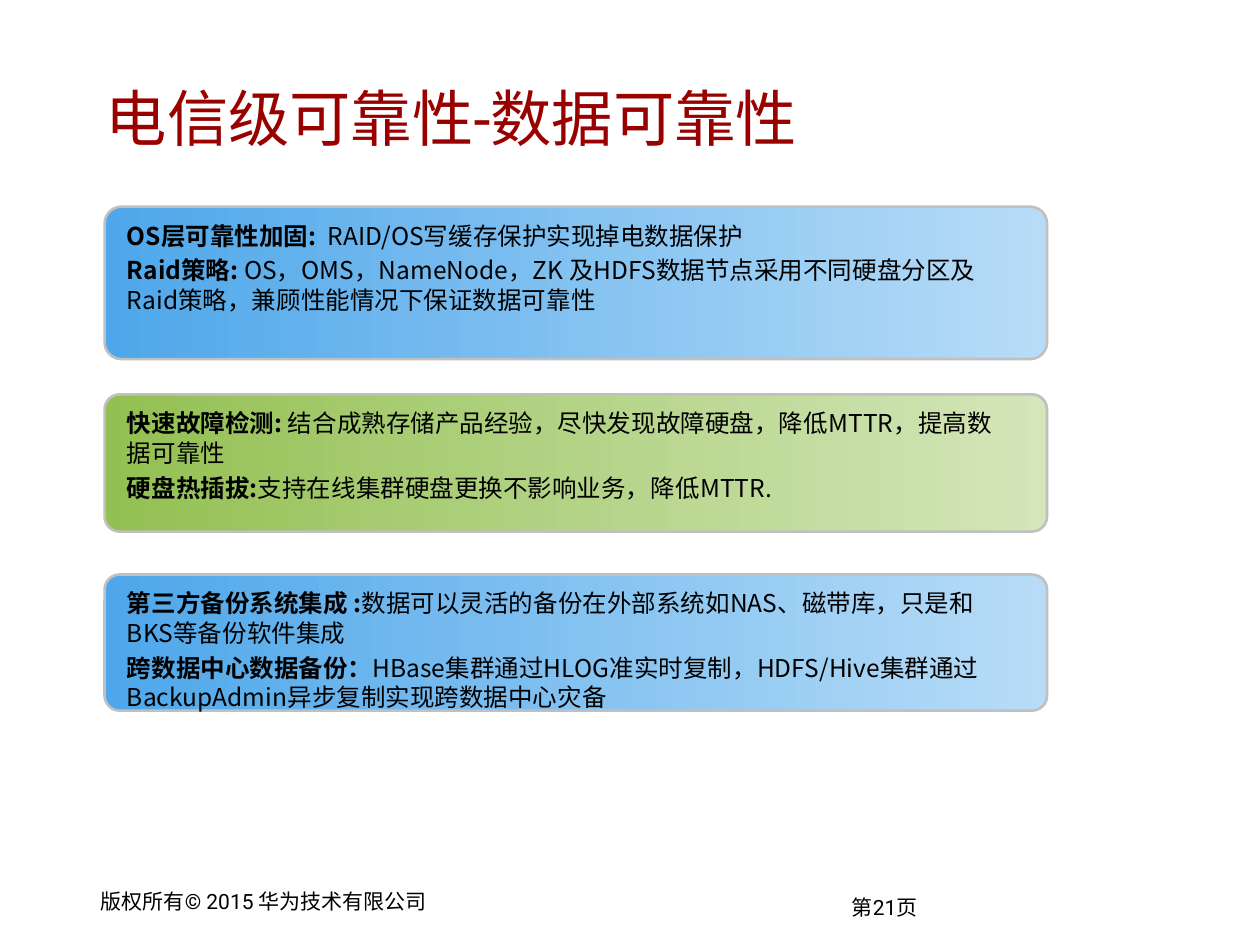
from dataclasses import dataclass

from pptx import Presentation, util as u
from pptx.dml.color import RGBColor
from pptx.enum import shapes, text
from pptx.oxml import ns, xmlchemy

SLIDE_WIDTH, SLIDE_HEIGHT = u.Inches(10), u.Inches(7.5)


@dataclass(frozen=True)
class Theme:
    blue: tuple[str, str] = ("4EA7EA", "B8DCF7")
    green: tuple[str, str] = ("93C052", "D4E6BA")
    border: str = "C0C0C0"
    title: str = "990000"
    ink: str = "000000"
    heading_font: str = "Roboto"
    body_font: str = "Noto Sans CJK SC"
    title_size: int = 35
    body_size: int = 14
    footer_size: int = 12


THEME = Theme()


@dataclass(frozen=True)
class Area:
    """A rectangle in percent of the slide's width and height."""
    left: float
    top: float
    width: float
    height: float

    def lengths(self) -> tuple[int, int, int, int]:
        return (int(SLIDE_WIDTH * self.left / 100), int(SLIDE_HEIGHT * self.top / 100),
                int(SLIDE_WIDTH * self.width / 100), int(SLIDE_HEIGHT * self.height / 100))


@dataclass(frozen=True)
class Point:
    label: str
    detail: str


@dataclass(frozen=True)
class Card:
    top: float
    height: float
    colors: tuple[str, str]
    points: tuple[Point, ...]


CARD_LEFT, CARD_WIDTH = 8.3, 74.8
TEXT_INSET_X, TEXT_INSET_Y = 0.8, 0.8
TEXT_WIDTH = 72.4

CARDS = (
    Card(21.87, 16.13, THEME.blue, (
        Point("OS层可靠性加固: ", " RAID/OS写缓存保护实现掉电数据保护"),
        Point("Raid策略: ", "OS，OMS，NameNode，ZK 及HDFS数据节点采用不同硬盘分区及Raid策略，"
                            "兼顾性能情况下保证数据可靠性"),
    )),
    Card(41.73, 14.53, THEME.green, (
        Point("快速故障检测: ", "结合成熟存储产品经验，尽快发现故障硬盘，降低MTTR，提高数据可靠性"),
        Point("硬盘热插拔:", "支持在线集群硬盘更换不影响业务，降低MTTR."),
    )),
    Card(60.8, 14.4, THEME.blue, (
        Point("第三方备份系统集成 :", "数据可以灵活的备份在外部系统如NAS、磁带库，只是和BKS等备份软件集成"),
        Point("跨数据中心数据备份：", "HBase集群通过HLOG准实时复制，HDFS/Hive集群通过 "
                                "BackupAdmin异步复制实现跨数据中心灾备"),
    )),
)


def add_text(slide, area: Area, points: tuple[Point, ...], *, size: int,
             font: str = THEME.heading_font, color: str = THEME.ink,
             line_ratio: float = 1.21, inset: tuple[float, float] = (0.09, 0.04),
             anchor=text.MSO_ANCHOR.TOP) -> None:
    """Add one paragraph per point, its label in bold."""
    frame = slide.shapes.add_textbox(*area.lengths()).text_frame
    frame.word_wrap = True
    frame.vertical_anchor = anchor
    frame.margin_left = frame.margin_right = u.Inches(inset[0])
    frame.margin_top = frame.margin_bottom = u.Inches(inset[1])
    for index, point in enumerate(points):
        paragraph = frame.add_paragraph() if index else frame.paragraphs[0]
        paragraph.line_spacing = u.Pt(round(size * line_ratio, 1))
        if index:
            paragraph.space_before = u.Pt(3)
        for content, bold in ((point.label, True), (point.detail, False)):
            if not content:
                continue
            run = paragraph.add_run()
            run.text = content
            run.font.size = u.Pt(size)
            run.font.bold = bold
            run.font.name = font
            run.font.color.rgb = RGBColor.from_string(color)
            east_asian = xmlchemy.OxmlElement("a:ea")
            east_asian.set("typeface", THEME.body_font)
            run.font._element.find(ns.qn("a:latin")).addnext(east_asian)


def add_card(slide, card: Card) -> None:
    area = Area(CARD_LEFT, card.top, CARD_WIDTH, card.height)
    shape = slide.shapes.add_shape(shapes.MSO_SHAPE.ROUNDED_RECTANGLE, *area.lengths())
    shape.adjustments[0] = 0.11
    shape.shadow.inherit = False
    shape.fill.gradient()
    shape.fill.gradient_angle = 0
    for stop, color in zip(shape.fill.gradient_stops, card.colors):
        stop.color.rgb = RGBColor.from_string(color)
    shape.line.color.rgb = RGBColor.from_string(THEME.border)
    shape.line.width = u.Pt(1.5)
    text_area = Area(CARD_LEFT + TEXT_INSET_X, card.top + TEXT_INSET_Y,
                     TEXT_WIDTH, card.height - TEXT_INSET_Y)
    add_text(slide, text_area, card.points, size=THEME.body_size,
             font=THEME.body_font, inset=(0.1, 0.05))


def main() -> None:
    presentation = Presentation()
    presentation.slide_width, presentation.slide_height = SLIDE_WIDTH, SLIDE_HEIGHT
    slide = presentation.slides.add_slide(presentation.slide_layouts[6])
    add_text(slide, Area(7.5, 5.6, 84.4, 12.67), (Point("", "电信级可靠性-数据可靠性"),),
             size=THEME.title_size, color=THEME.title, line_ratio=1.35,
             anchor=text.MSO_ANCHOR.MIDDLE)
    for card in CARDS:
        add_card(slide, card)
    for area, content in (
        (Area(7.1, 93.47, 28.2, 3.87), "版权所有© 2015 华为技术有限公司"),
        (Area(66.7, 94.13, 7.2, 3.87), "第21页"),
    ):
        add_text(slide, area, (Point("", content),), size=THEME.footer_size)
    presentation.save("out.pptx")


if __name__ == "__main__":
    main()
